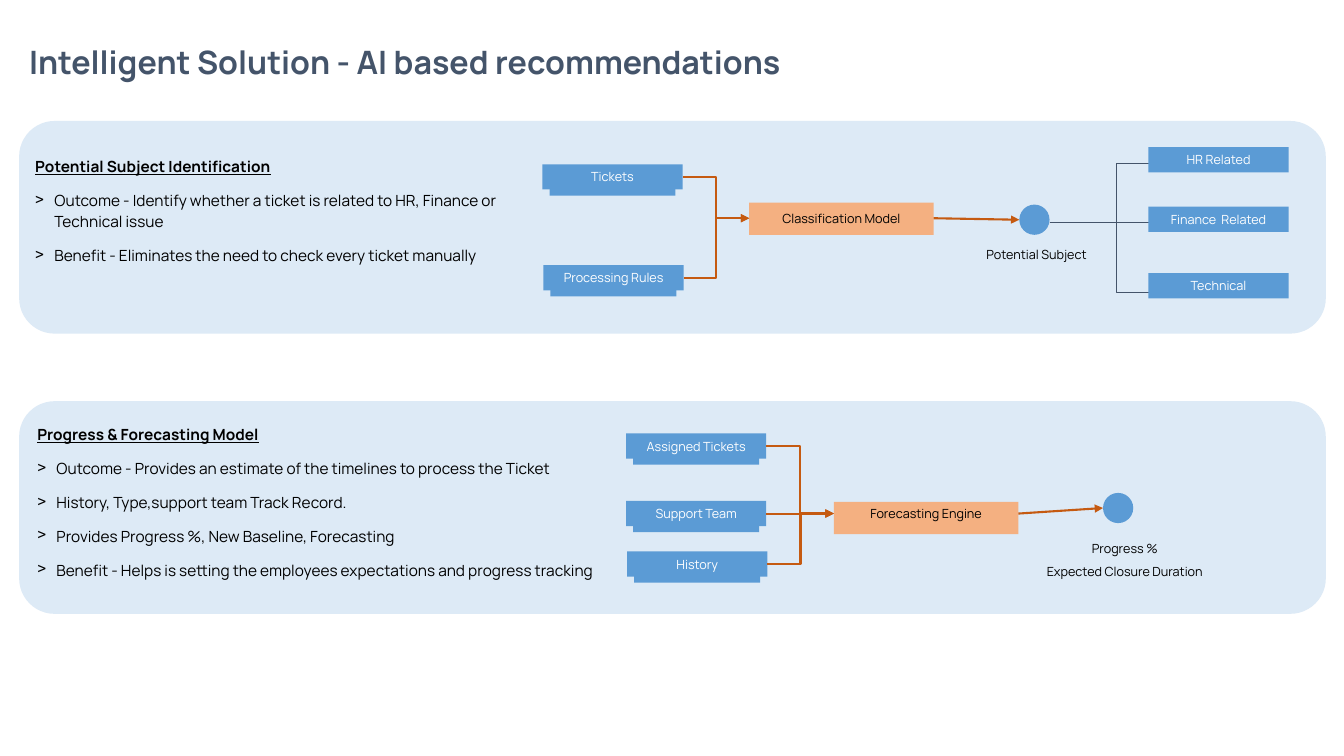
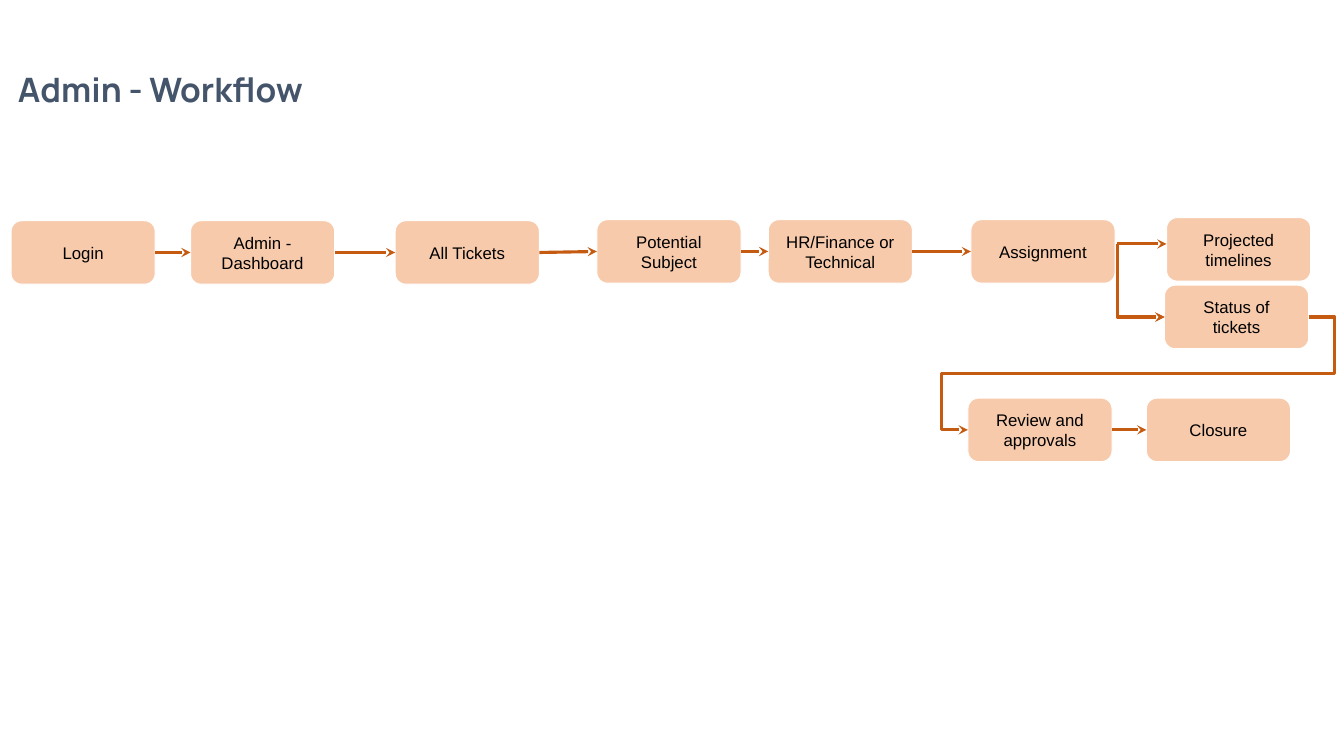
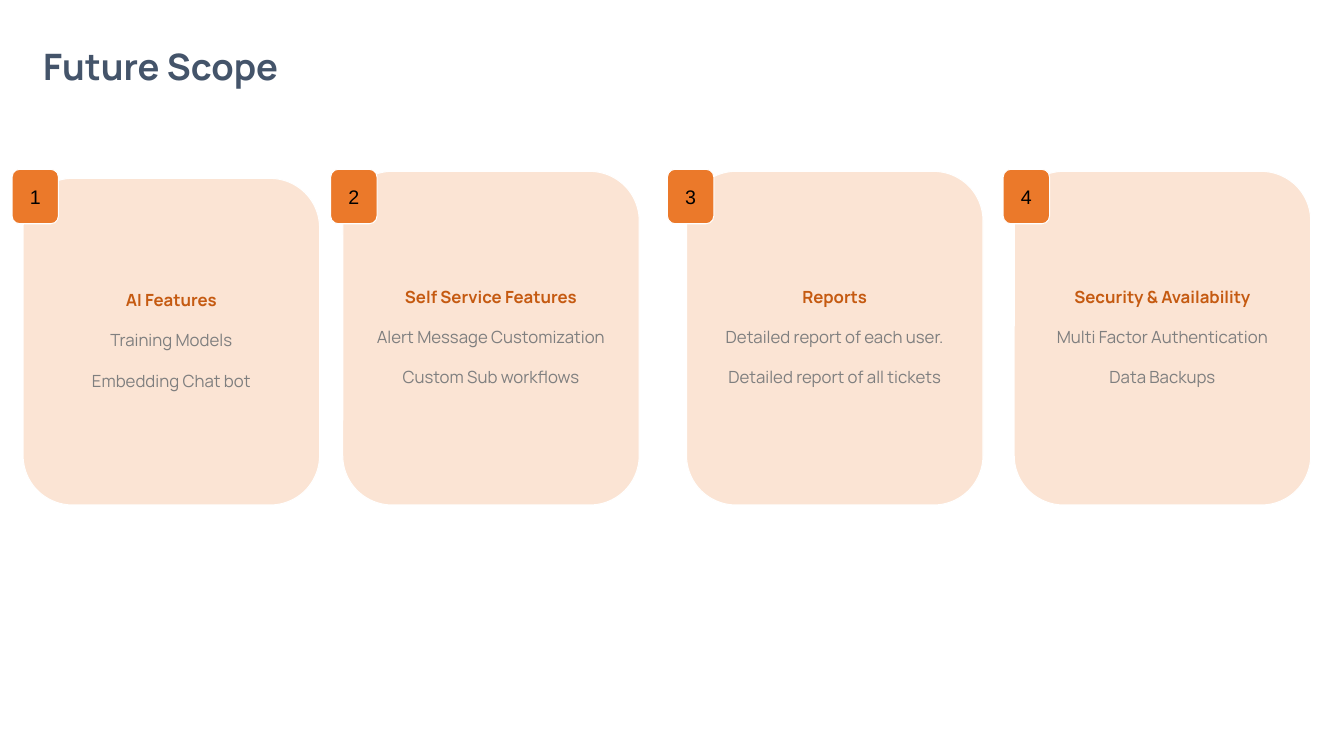
from lxml.etree import SubElement
from pptx import Presentation
from pptx.dml.color import RGBColor
from pptx.enum.shapes import MSO_CONNECTOR as LINK, MSO_SHAPE as SHAPE
from pptx.enum.text import MSO_ANCHOR as ANCHOR, MSO_AUTO_SIZE as FIT, PP_ALIGN as ALIGN
from pptx.oxml.ns import qn
from pptx.util import Inches, Pt

WIDTH, HEIGHT = 13.33, 7.5
NAVY, BLACK, WHITE, GREY = "44546A", "000000", "FFFFFF", "7F7F7F"
BLUE, PALE_BLUE, RUST, ORANGE = "5B9BD5", "DDEAF6", "C55A11", "EB792A"
APRICOT, PEACH, CREAM = "F4B081", "F7CAAC", "FBE4D4"
TOP, LEFT, BOTTOM, RIGHT = range(4)
INSETS = (0.1, 0.05, 0.1, 0.05)

# Styles: font and paragraph settings
HEADING = dict(size=11, bold=True, underline=True, spacing=1.5)
BULLET = dict(size=11, spacing=1.15, before=9, bullet=">")
NODE = dict(size=9, color=WHITE, align=ALIGN.CENTER, spacing=1.5)
LABEL = {**NODE, "color": BLACK}
STEP = dict(size=12, name="Arial", align=ALIGN.CENTER)
BADGE = {**STEP, "size": 14}
CARD_LINE = dict(size=12, color=GREY, align=ALIGN.CENTER, spacing=2)
CARD_HEAD = {**CARD_LINE, "color": RUST, "bold": True}

TITLES = [
    ("Intelligent Solution - AI based recommendations", 23, (0.19, 0.36, 11.94, 0.49)),
    ("Admin - Workflow", 24, (0.08, 0.63, 4.6, 0.5)),
    ("Future Scope", 26, (0.33, 0.38, 3.58, 0.54)),
]

NODE_SIZE, ENGINE_SIZE, DOT = (1.39, 0.25), (1.83, 0.32), 0.3
PANELS = [
    dict(
        top=3.98,
        text_box=(0.32, 4.11, 5.86, 1.87),
        heading="Progress & Forecasting Model",
        bullets=[
            "Outcome - Provides an estimate of the timelines to process the Ticket",
            "History, Type,support team Track Record.",
            "Provides Progress %, New Baseline, Forecasting",
            "Benefit - Helps is setting the employees expectations and progress tracking",
        ],
        inputs=[("Assigned Tickets", 6.21, 4.3), ("Support Team", 6.21, 4.97), ("History", 6.22, 5.47)],
        engine="Forecasting Engine", engine_at=(8.27, 4.98), label_top=4.97,
        dot_at=(10.94, 4.89),
        captions=["Progress %", "Expected Closure Duration"], caption_box=(10.18, 5.28, 1.95, 0.48),
        outputs=[],
    ),
    dict(
        top=1.2,
        text_box=(0.3, 1.45, 5.27, 1.19),
        heading="Potential Subject Identification",
        bullets=[
            "Outcome - Identify whether a ticket is related to HR, Finance or Technical issue",
            "Benefit - Eliminates the need to check every ticket manually",
        ],
        inputs=[("Tickets", 5.38, 1.63), ("Processing Rules", 5.39, 2.63)],
        engine="Classification Model", engine_at=(7.43, 2.01), label_top=2.04,
        dot_at=(10.11, 2.03),
        captions=["Potential Subject"], caption_box=(9.58, 2.36, 1.4, 0.25),
        outputs=[("HR Related", 1.46, 1.62), ("Finance  Related", 2.05, 2.21), ("Technical", 2.71, 2.9)],
    ),
]
OUTPUT_LEFT = 11.39

STEP_SIZE = (1.43, 0.63)
STEPS = {
    "Login": (0.11, 2.19),
    "Admin - Dashboard": (1.89, 2.19),
    "All Tickets": (3.92, 2.19),
    "Potential Subject": (5.92, 2.18),
    "HR/Finance or Technical": (7.62, 2.18),
    "Assignment": (9.63, 2.18),
    "Projected timelines": (11.57, 2.16),
    "Status of tickets": (11.55, 2.83),
    "Review and approvals": (9.6, 3.95),
    "Closure": (11.37, 3.95),
}
CHAINS = [list(STEPS)[:6], list(STEPS)[8:]]

CARD_WIDTH, CARD_BOTTOM, BADGE_TOP, BADGE_SIZE = 2.94, 5.01, 1.68, (0.46, 0.54)
CARDS = [  # card left, card top, badge left, heading, lines
    (0.23, 1.77, 0.12, "AI Features", ["Training Models", "Embedding Chat bot"]),
    (3.4, 1.7, 3.28, "Self Service Features", ["Alert Message Customization", "Custom Sub workflows"]),
    (6.81, 1.7, 6.62, "Reports", ["Detailed report of each user.", "Detailed report of all tickets"]),
    (10.06, 1.7, 9.95, "Security & Availability", ["Multi Factor Authentication", "Data Backups"]),
]


def rgb(value):
    return RGBColor.from_string(value)


def write(shape, lines, anchor=ANCHOR.MIDDLE, insets=INSETS, grow=False):
    """Fill a shape with (text, style) lines."""
    frame = shape.text_frame
    frame.word_wrap = True
    frame.auto_size = FIT.SHAPE_TO_FIT_TEXT if grow else FIT.NONE
    frame.vertical_anchor = anchor
    for side, inset in zip(("left", "top", "right", "bottom"), insets):
        setattr(frame, f"margin_{side}", Inches(inset))
    for index, (text, style) in enumerate(lines):
        paragraph = frame.add_paragraph() if index else frame.paragraphs[0]
        paragraph.alignment = style.get("align", ALIGN.LEFT)
        paragraph.line_spacing = style.get("spacing", 1.0)
        paragraph.space_before = Pt(style.get("before", 0))
        if "bullet" in style:
            properties = paragraph._p.get_or_add_pPr()
            properties.set("marL", str(Inches(0.19)))
            properties.set("indent", str(-Inches(0.19)))
            SubElement(properties, qn("a:buChar")).set("char", style["bullet"])
        run = paragraph.add_run()
        run.text = text
        run.font.size = Pt(style["size"])
        run.font.color.rgb = rgb(style.get("color", BLACK))
        for key, default in dict(name="Manrope", bold=False, underline=False).items():
            setattr(run.font, key, style.get(key, default))


def add_text(slide, box, lines, **options):
    shape = slide.shapes.add_textbox(*map(Inches, box))
    write(shape, lines, **options)
    return shape


def add_box(slide, box, fill, kind=SHAPE.RECTANGLE, outline=None, lines=(), **options):
    shape = slide.shapes.add_shape(kind, *map(Inches, box))
    shape.shadow.inherit = False
    shape.fill.solid()
    shape.fill.fore_color.rgb = rgb(fill)
    if outline:
        shape.line.color.rgb = rgb(outline)
        shape.line.width = Pt(0.75)
    else:
        shape.line.fill.background()
    if lines:
        write(shape, lines, **options)
    return shape


def add_rounded(slide, box, fill, lines, bottom_inset=0.1):
    return add_box(slide, box, fill, SHAPE.ROUNDED_RECTANGLE, WHITE, lines,
                   insets=(0.1, 0.1, 0.1, bottom_inset))


def add_node(slide, left, top, text):
    return add_box(slide, (left, top, *NODE_SIZE), BLUE, lines=[(text, NODE)],
                   anchor=ANCHOR.BOTTOM)


def link(slide, start, end, color=RUST, width=1.5, head="triangle", bends=None):
    """Join two points, or shapes from right side to left side; bends are elbow shares."""
    joined = [end_point if not isinstance(end_point, tuple) else None for end_point in (start, end)]
    points = [(0, 0) if shape else point for shape, point in zip(joined, (start, end))]
    connector = slide.shapes.add_connector(
        LINK.ELBOW if bends else LINK.STRAIGHT, *(Inches(value) for point in points for value in point))
    if joined[0]:
        connector.begin_connect(joined[0], RIGHT)
    if joined[1]:
        connector.end_connect(joined[1], LEFT)
    connector.line.color.rgb = rgb(color)
    connector.line.width = Pt(width)
    properties = connector.element.spPr
    if head:
        SubElement(properties.find(qn("a:ln")), qn("a:tailEnd")).set("type", head)
    SubElement(properties, qn("a:effectLst"))
    if bends:
        geometry = properties.find(qn("a:prstGeom"))
        geometry.set("prst", f"bentConnector{len(bends) + 2}")
        for old in list(geometry):
            geometry.remove(old)
        guides = SubElement(geometry, qn("a:avLst"))
        for number, share in enumerate(bends, 1):
            guide = SubElement(guides, qn("a:gd"))
            guide.set("name", f"adj{number}" if len(bends) > 1 else "adj1")
            guide.set("fmla", f"val {round(share * 100000)}")
    return connector


def draw_panel(slide, panel):
    add_box(slide, (0.19, panel["top"], 12.96, 2.11), PALE_BLUE, SHAPE.ROUNDED_RECTANGLE)
    add_text(slide, panel["text_box"],
             [(panel["heading"], HEADING)] + [(text, BULLET) for text in panel["bullets"]],
             anchor=ANCHOR.TOP, insets=(0.05, 0.02, 0.05, 0.02))

    engine_left, engine_top = panel["engine_at"]
    label_box = (engine_left, panel["label_top"], ENGINE_SIZE[0], NODE_SIZE[1])
    add_box(slide, (engine_left, engine_top, *ENGINE_SIZE), APRICOT)
    label = add_text(slide, label_box, [(panel["engine"], LABEL)], anchor=ANCHOR.BOTTOM)
    joint = panel["label_top"] + NODE_SIZE[1] / 2

    for text, left, top in panel["inputs"]:
        add_box(slide, (left + 0.07, top + 0.06, 1.25, 0.25), BLUE)
        node = add_node(slide, left, top, text)
        middle = top + NODE_SIZE[1] / 2
        if abs(middle - joint) < 0.01:
            link(slide, node, label)
        else:
            link(slide, (left + NODE_SIZE[0], middle), (engine_left, joint), bends=[0.5])

    dot_left, dot_top = panel["dot_at"]
    dot_middle = dot_top + DOT / 2
    add_box(slide, (dot_left, dot_top, DOT, DOT), BLUE, SHAPE.OVAL)
    link(slide, label, (dot_left, dot_middle))
    add_text(slide, panel["caption_box"], [(text, LABEL) for text in panel["captions"]])

    fork = (dot_left + DOT, 2.21)
    for text, top, wire in panel["outputs"]:
        bends = None if wire == fork[1] else [0.5]
        link(slide, fork, (OUTPUT_LEFT + 0.34, wire), NAVY, 0.75, None, bends)
        add_node(slide, OUTPUT_LEFT, top, text)


def draw_recommendations(slide):
    for panel in PANELS:
        draw_panel(slide, panel)


def draw_workflow(slide):
    arrow = dict(width=2.25, head="stealth")
    boxes = {text: add_rounded(slide, (*at, *STEP_SIZE), PEACH, [(text, STEP)])
             for text, at in STEPS.items()}
    for chain in CHAINS:
        for before, after in zip(chain, chain[1:]):
            link(slide, boxes[before], boxes[after], **arrow)

    def side(text, right=False):
        left, top = STEPS[text]
        return left + right * STEP_SIZE[0], top + STEP_SIZE[1] / 2

    fork = (11.08, 2.42)
    status = side("Status of tickets")
    link(slide, fork, (STEPS["Projected timelines"][0], fork[1]), **arrow)
    link(slide, fork, status, bends=[0], **arrow)
    link(slide, (fork[0], status[1]), boxes["Status of tickets"], **arrow)
    link(slide, side("Status of tickets", right=True), side("Review and approvals"),
         bends=[-0.077, 0.5, 1.077], **arrow)


def draw_scope(slide):
    for number, (left, top, badge_left, heading, lines) in enumerate(CARDS, 1):
        add_rounded(slide, (left, top, CARD_WIDTH, CARD_BOTTOM - top), CREAM,
                    [(heading, CARD_HEAD)] + [(text, CARD_LINE) for text in lines],
                    bottom_inset=0.33)
        add_rounded(slide, (badge_left, BADGE_TOP, *BADGE_SIZE), ORANGE, [(str(number), BADGE)])


def main():
    presentation = Presentation()
    presentation.slide_width, presentation.slide_height = Inches(WIDTH), Inches(HEIGHT)
    for (title, size, box), draw in zip(TITLES, (draw_recommendations, draw_workflow, draw_scope)):
        slide = presentation.slides.add_slide(presentation.slide_layouts[6])
        add_text(slide, box, [(title, dict(size=size, color=NAVY, bold=True))],
                 anchor=ANCHOR.BOTTOM, grow=True)
        draw(slide)
    presentation.save("out.pptx")


if __name__ == "__main__":
    main()
